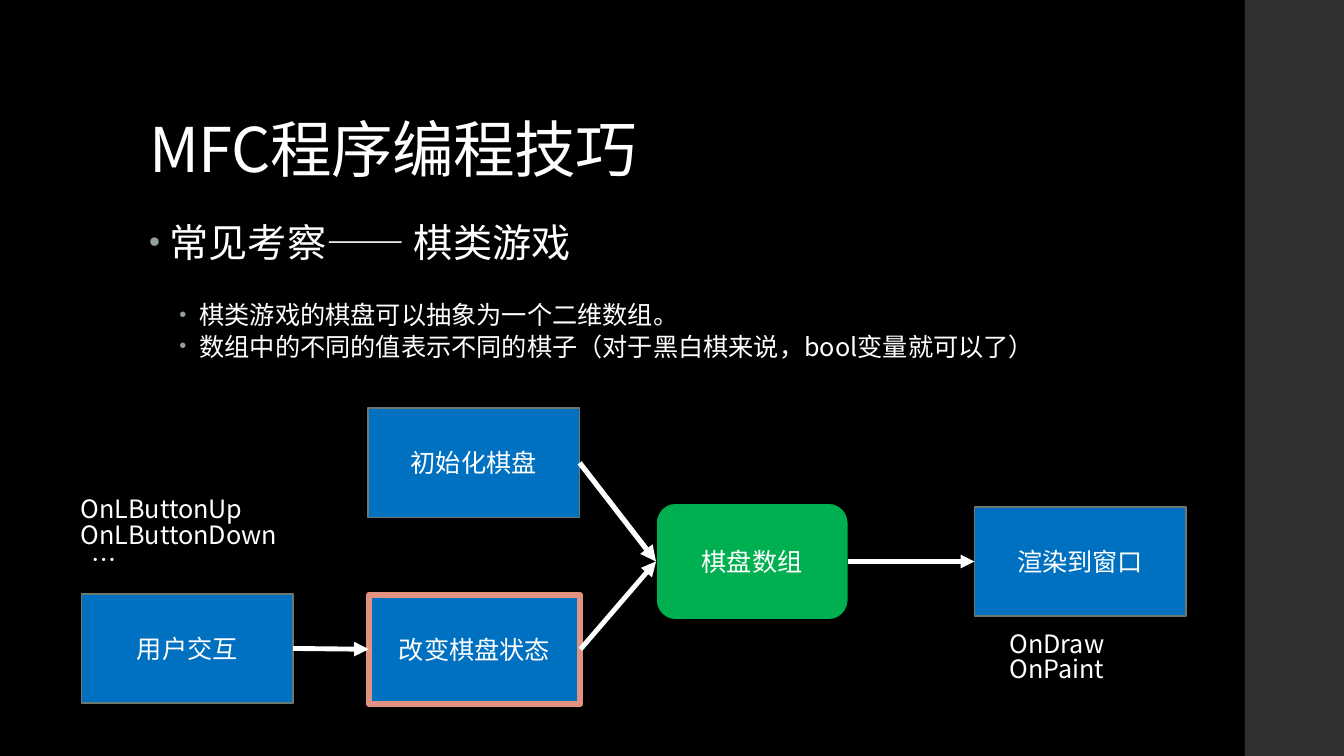
from dataclasses import dataclass

from lxml import etree
from pptx import Presentation
from pptx import util as u
from pptx.dml.color import RGBColor
from pptx.enum import shapes, text
from pptx.oxml import ns


@dataclass(frozen=True)
class Theme:
    """Colours, type sizes and spacing of the slide."""
    font: str = "Noto Sans CJK SC"
    back: str = "000000"
    band: str = "303030"
    ink: str = "FFFFFF"
    bullet: str = "93A299"
    node: str = "0070C0"
    node_line: str = "6D7871"
    accent: str = "E19281"
    store: str = "00B050"
    title: int = 44
    heading: int = 28
    text: int = 18
    leading: float = 0.83


T = Theme()
COLUMNS, ROWS = 160, 90
NODE_W, NODE_H = 25.2, 13


def cells(*counts):
    """Turn grid cells, twelve to the inch, into lengths."""
    return [u.Inches(n / 12) for n in counts]


def within(box, x, y, w, h):
    """Place a rectangle relative to a box."""
    return cells(box[0] + x, box[1] + y, w, h)


def sub(parent, tag, **attrs):
    """Append a DrawingML element with its attributes."""
    return etree.SubElement(parent, ns.qn(tag), **attrs)


def paint(fill, colour):
    """Apply a solid colour to a fill."""
    fill.solid()
    fill.fore_color.rgb = RGBColor.from_string(colour)


def add_run(p, words, size, spacing=0):
    """Append one formatted run to a paragraph."""
    r = p.add_run()
    r.text = words
    r.font.size = u.Pt(size)
    r.font.name = T.font
    paint(r.font.fill, T.ink)
    rPr = r.font._element
    rPr.set("spc", str(spacing))
    ea = etree.Element(ns.qn("a:ea"), typeface=T.font)
    rPr.find(ns.qn("a:latin")).addnext(ea)


def place(sp, box):
    """Move a shape to a grid box."""
    sp.left, sp.top, sp.width, sp.height = cells(*box)


def band(slide, box):
    """Draw the plain band at the edge."""
    sp = slide.shapes.add_shape(shapes.MSO_SHAPE.RECTANGLE, *cells(*box))
    sp.shadow.inherit = False
    paint(sp.fill, T.band)
    sp.line.fill.background()


def title(slide, box, words):
    """Fill the title placeholder."""
    sp = slide.shapes.title
    place(sp, box)
    tf = sp.text_frame
    tf.auto_size = text.MSO_AUTO_SIZE.NONE
    tf.vertical_anchor = text.MSO_ANCHOR.BOTTOM
    tf.margin_bottom = u.Inches(0.01)
    p = tf.paragraphs[0]
    p.alignment = text.PP_ALIGN.LEFT
    p.line_spacing = 0.9
    add_run(p, words, T.title, -50)


def bullets(slide, box, items):
    """Fill the body placeholder with a heading and its points."""
    sp = slide.placeholders[1]
    place(sp, box)
    tf = sp.text_frame
    tf.auto_size = text.MSO_AUTO_SIZE.NONE
    for i, (words, level, before, after) in enumerate(items):
        p = tf.add_paragraph() if i else tf.paragraphs[0]
        p.level = level
        p.line_spacing = 0.75 if level else 0.79
        p.space_before, p.space_after = u.Pt(before), u.Pt(after)
        pPr = p._p.get_or_add_pPr()
        pPr.set("marL", str(u.Inches(0.2 + 0.3 * level)))
        pPr.set("indent", str(u.Inches(-0.2)))
        sub(sub(pPr, "a:buClr"), "a:srgbClr", val=T.bullet)
        sub(pPr, "a:buSzPct", val="80000")
        sub(pPr, "a:buChar", char="•")
        add_run(p, words, T.text if level else T.heading, 0 if level else 10)


def node(slide, rect, words, kind=shapes.MSO_SHAPE.RECTANGLE,
         fill=T.node, line=T.node_line, weight=1.1):
    """Draw one labelled step of the flow."""
    sp = slide.shapes.add_shape(kind, *rect)
    sp.shadow.inherit = False
    paint(sp.fill, fill)
    paint(sp.line.fill, line)
    sp.line.width = u.Pt(weight)
    tf = sp.text_frame
    tf.word_wrap = True
    tf.vertical_anchor = text.MSO_ANCHOR.MIDDLE
    p = tf.paragraphs[0]
    p.alignment = text.PP_ALIGN.CENTER
    add_run(p, words, T.text)
    return sp


def arrow(slide, start, end, weight):
    """Join the right side of one step to the left side of the next."""
    c = slide.shapes.add_connector(shapes.MSO_CONNECTOR.STRAIGHT, 0, 0, 0, 0)
    c.begin_connect(start, 3)
    c.end_connect(end, 1)
    paint(c.line.fill, T.ink)
    c.line.width = u.Pt(weight)
    sub(c.line._get_or_add_ln(), "a:tailEnd", type="triangle")
    sub(c._element.spPr, "a:effectLst")


def caption(slide, rect, lines):
    """Write handler names, each line with its left indent in points."""
    tf = slide.shapes.add_textbox(*rect).text_frame
    tf.word_wrap = True
    for i, (words, indent) in enumerate(lines):
        p = tf.add_paragraph() if i else tf.paragraphs[0]
        p.line_spacing = T.leading
        p._p.get_or_add_pPr().set("marL", str(u.Pt(indent)))
        add_run(p, words, T.text)


def flow(slide, box):
    """Draw the steps around the board array."""
    def step(x, y):
        return within(box, x, y, NODE_W, NODE_H)

    board = node(slide, within(box, 70.1, 11.9, 22.9, 13.9), "棋盘数组",
                 shapes.MSO_SHAPE.ROUNDED_RECTANGLE, T.store, T.back)
    render = node(slide, step(108, 12.35), "渲染到窗口")
    init = node(slide, step(35.8, 0.6), "初始化棋盘")
    change = node(slide, step(35.9, 22.8), "改变棋盘状态",
                  line=T.accent, weight=4.25)
    user = node(slide, step(1.7, 22.7), "用户交互")
    for start, end, weight in ((board, render, 3.25), (init, board, 3.75),
                               (change, board, 3.5), (user, change, 3.5)):
        arrow(slide, start, end, weight)
    caption(slide, within(box, 0.4, 10.8, 27.2, 12.1),
            [("OnLButtonUp", 0), ("OnLButtonDown", 0), ("…", 8)])
    caption(slide, within(box, 111, 26.8, 27.2, 8.5),
            [("OnDraw", 0), ("OnPaint", 0)])


def main():
    """Build the slide and save it."""
    prs = Presentation()
    prs.slide_width, prs.slide_height = cells(COLUMNS, ROWS)
    slide = prs.slides.add_slide(prs.slide_layouts[1])
    paint(slide.background.fill, T.back)
    band(slide, (148.2, 0, COLUMNS - 148.2, ROWS))
    title(slide, (16.56, 4.8, 127.2, 17.4), "MFC程序编程技巧")
    bullets(slide, (16.56, 26.5, 112.8, 57.1), [
        ("常见考察—— 棋类游戏", 0, 14, 2),
        ("棋类游戏的棋盘可以抽象为一个二维数组。", 1, 28, 3),
        ("数组中的不同的值表示不同的棋子（对于黑白棋来说，bool变量就可以了）", 1, 3, 3),
    ])
    flow(slide, (8, 48, 140, 36))
    prs.save("out.pptx")


if __name__ == "__main__":
    main()
